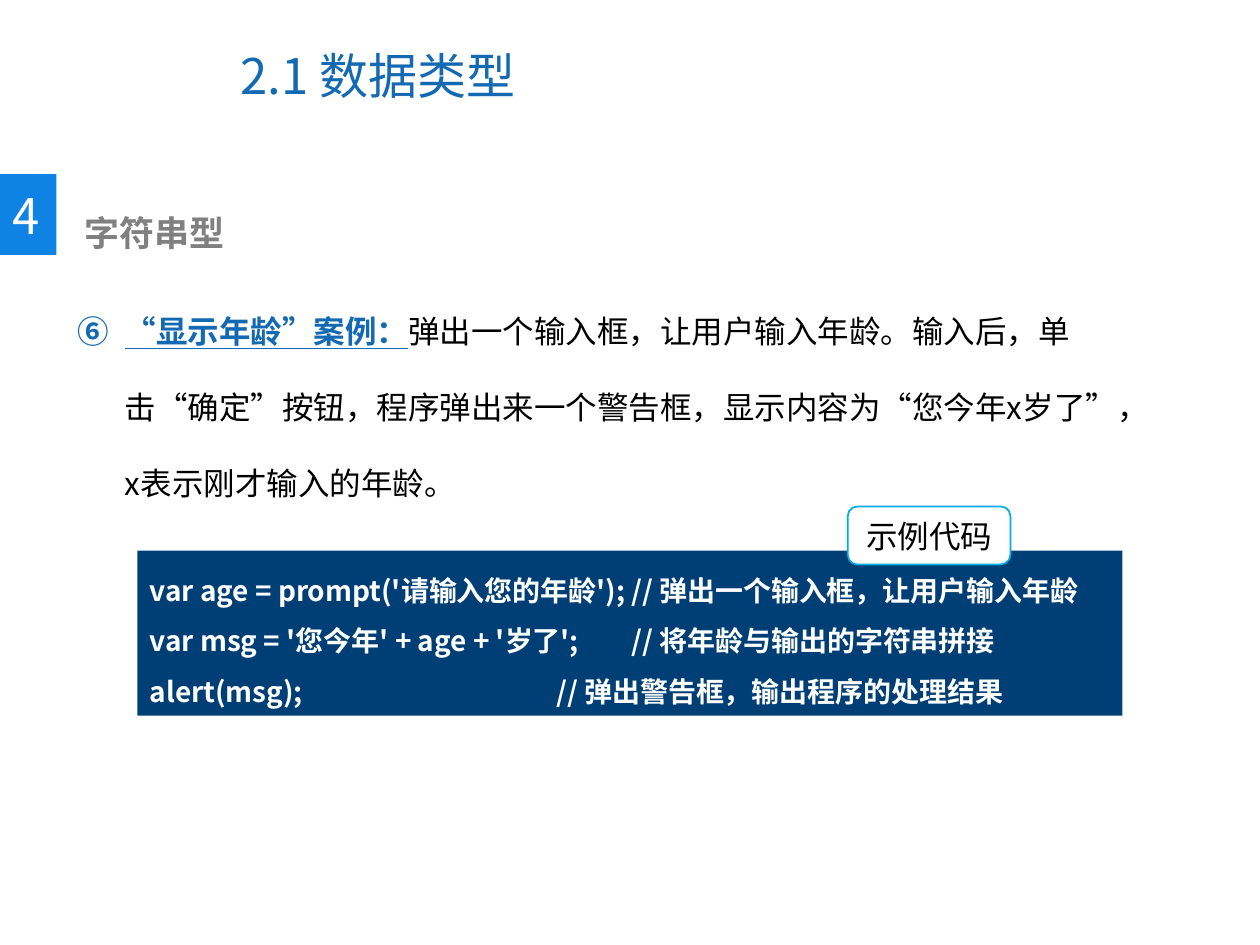
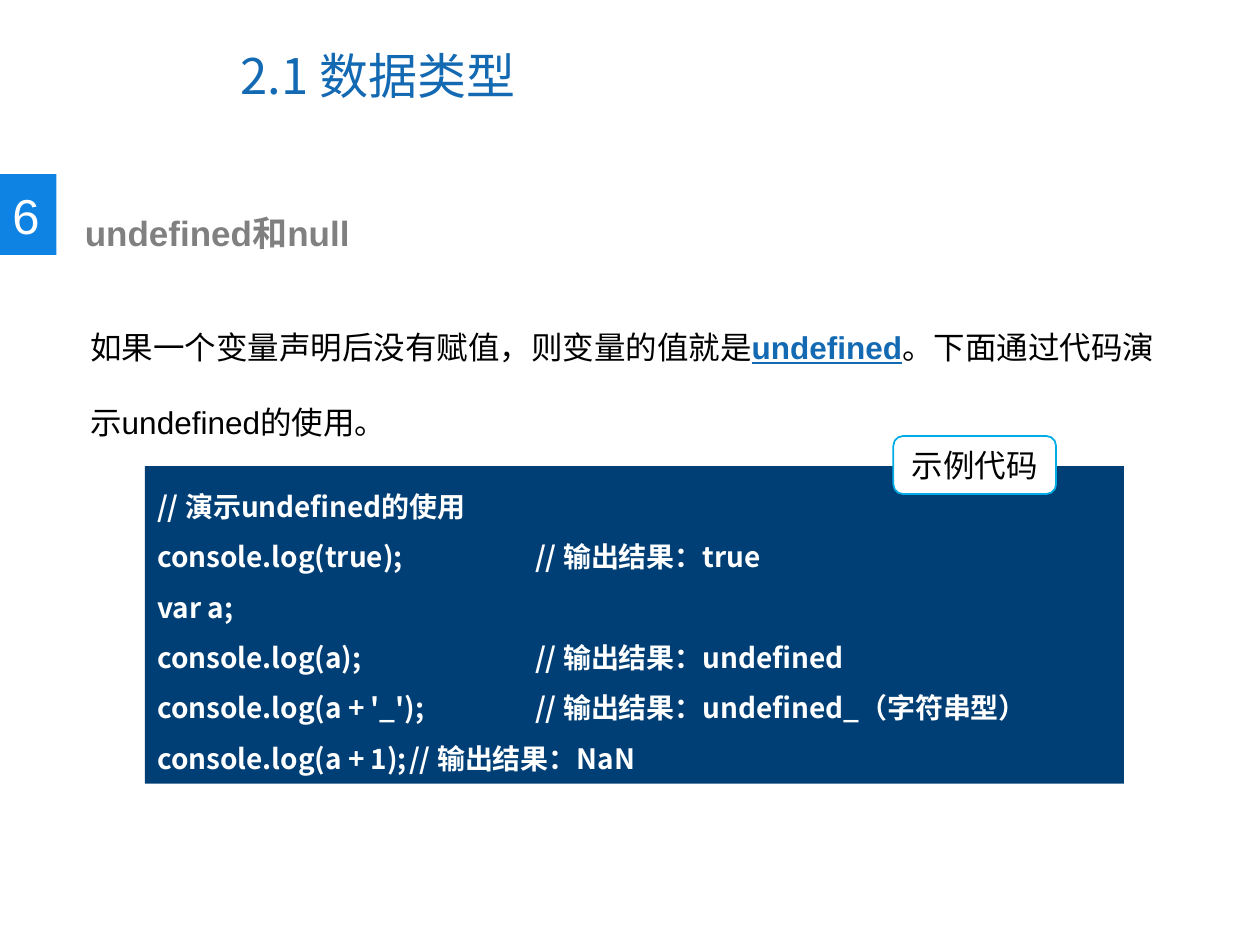
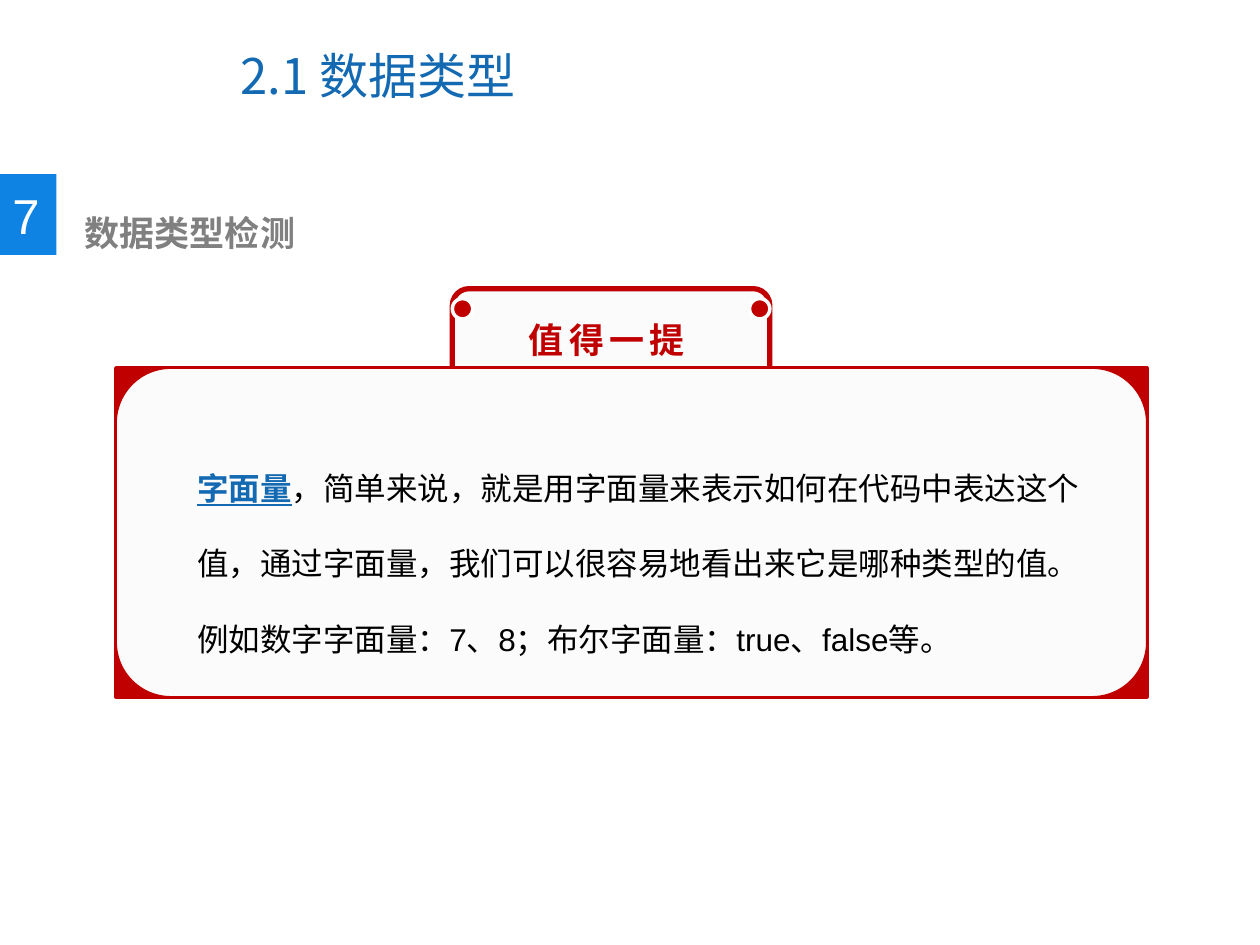
"""Build three lesson slides on data types."""
from lxml.etree import SubElement
from pptx import Presentation
from pptx.dml.color import RGBColor
from pptx.enum.shapes import MSO_SHAPE as Preset
from pptx.enum.text import MSO_ANCHOR as Anchor, PP_ALIGN as Align
from pptx.oxml.ns import qn
from pptx.util import Cm, Pt

NOTO, ARIAL = "Noto Sans CJK SC", "Arial"
BLUE, BADGE, NAVY, CYAN = "1369B2", "0F83E3", "003F75", "00ACE6"
RED, GREY, PAPER, BLACK, WHITE = "C00000", "808080", "FBFBFB", "000000", "FFFFFF"

TITLE = ("2.1 ", "数据类型")
CODE_LABEL = "示例代码"
NOTE_LABEL = "值得一提"
BODY_PITCH, CODE_PITCH = 43.2, 28.8

LESSONS = [
    {
        "number": "4", "heading": "字符串型", "face": NOTO, "start": 6,
        "body_at": (1.32, 5.41, 21.97, 4.88),
        "body": [
            ("“显示年龄”案例：", True),
            ("弹出一个输入框，让用户输入年龄。输入后，单击“确定”按钮，程序弹出来一个警告框，"
             "显示内容为“您今年x岁了”，x表示刚才输入的年龄。", False),
        ],
        "code_at": (2.77, 11.1, 19.86, 3.33), "label_at": (17.09, 10.21),
        "code": [
            ("var age = prompt('请输入您的年龄'); // 弹出一个输入框，让用户输入年龄", "", 0),
            ("var msg = '您今年' + age + '岁了';", "// 将年龄与输出的字符串拼接", 9.72),
            ("alert(msg);", "// 弹出警告框，输出程序的处理结果", 8.2),
        ],
    },
    {
        "number": "6", "heading": "undefined和null", "face": ARIAL,
        "body_at": (1.57, 5.72, 21.97, 3.33),
        "body": [
            ("如果一个变量声明后没有赋值，则变量的值就是", False),
            ("undefined", True),
            ("。下面通过代码演示undefined的使用。", False),
        ],
        "code_at": (2.92, 9.4, 19.74, 6.4), "label_at": (18.01, 8.79),
        "code": [
            ("// 演示undefined的使用", "", 0),
            ("console.log(true);", "// 输出结果：true", 7.62),
            ("var a;", "", 0),
            ("console.log(a);", "// 输出结果：undefined", 7.62),
            ("console.log(a + '_');", "// 输出结果：undefined_（字符串型）", 7.62),
            ("console.log(a + 1);", "// 输出结果：NaN", 5.08),
        ],
    },
    {
        "number": "7", "heading": "数据类型检测", "face": ARIAL,
        "body_at": (3.73, 8.56, 18.72, 4.88),
        "body": [
            ("字面量", True),
            ("，简单来说，就是用字面量来表示如何在代码中表达这个值，通过字面量，"
             "我们可以很容易地看出来它是哪种类型的值。例如数字字面量：7、8；"
             "布尔字面量：true、false等。", False),
        ],
        "note_at": (2.34, 7.42, 20.78, 6.63),
    },
]


def rgb(color):
    return RGBColor.from_string(color)


def add_box(slide, at, wrap=True, anchor=Anchor.TOP):
    box = slide.shapes.add_textbox(*map(Cm, at))
    box.text_frame.word_wrap = wrap
    box.text_frame.vertical_anchor = anchor
    return box.text_frame


def add_panel(slide, preset, at, fill, line=None, width=1):
    panel = slide.shapes.add_shape(preset, *map(Cm, at))
    panel.shadow.inherit = False
    panel.fill.solid()
    panel.fill.fore_color.rgb = rgb(fill)
    if line:
        panel.line.color.rgb = rgb(line)
        panel.line.width = Pt(width)
    else:
        panel.line.fill.background()
    panel.text_frame.paragraphs[0].alignment = Align.LEFT
    return panel.text_frame


def add_run(paragraph, text, size, color, face=ARIAL, bold=False, underline=False):
    run = paragraph.add_run()
    run.text = text
    font = run.font
    font.size, font.bold, font.underline = Pt(size), bold, underline
    font.color.rgb = rgb(color)
    font.name = face
    SubElement(run._r.rPr, qn("a:ea"), typeface=NOTO)
    return run


def add_header(slide, lesson):
    title = add_box(slide, (4.6, 0.43, 13.11, 2.16), anchor=Anchor.MIDDLE).paragraphs[0]
    for part, face in zip(TITLE, (NOTO, ARIAL)):
        add_run(title, part, 28, BLUE, face)
    badge = add_panel(slide, Preset.RECTANGLE, (0, 3.51, 1.14, 1.63), BADGE)
    badge.word_wrap = False
    add_run(badge.paragraphs[0], lesson["number"], 28, WHITE, lesson["face"])
    heading = add_box(slide, (1.46, 4.14, 12.8, 1.12)).paragraphs[0]
    add_run(heading, lesson["heading"], 20, GREY, lesson["face"], bold=True)


def add_body(slide, lesson):
    body = add_box(slide, lesson["body_at"]).paragraphs[0]
    body.line_spacing = Pt(BODY_PITCH)
    if "start" in lesson:
        props = body._p.get_or_add_pPr()
        hang = Cm(0.95)
        props.set("marL", str(hang))
        props.set("indent", str(-hang))
        SubElement(props, qn("a:buFont"), typeface=NOTO)
        SubElement(props, qn("a:buAutoNum"), type="circleNumDbPlain", startAt=str(lesson["start"]))
    for text, key in lesson["body"]:
        add_run(body, text, 18, BLUE if key else BLACK, lesson["face"], key, key)


def add_code(slide, lesson):
    listing = add_panel(slide, Preset.RECTANGLE, lesson["code_at"], NAVY)
    listing.word_wrap = True
    listing.vertical_anchor = Anchor.TOP
    for index, (code, comment, stop) in enumerate(lesson["code"]):
        row = listing.add_paragraph() if index else listing.paragraphs[0]
        row.alignment = Align.LEFT
        row.line_spacing = Pt(CODE_PITCH)
        if comment:
            tabs = SubElement(row._p.get_or_add_pPr(), qn("a:tabLst"))
            SubElement(tabs, qn("a:tab"), pos=str(Cm(stop)), algn="l")
            code = f"{code}\t{comment}"
        add_run(row, code, 16, WHITE, NOTO, bold=True)
    label = add_panel(slide, Preset.ROUNDED_RECTANGLE, (*lesson["label_at"], 3.28, 1.17), WHITE, CYAN)
    label.vertical_anchor = Anchor.MIDDLE
    label.paragraphs[0].alignment = Align.CENTER
    add_run(label.paragraphs[0], CODE_LABEL, 18, BLACK)


def add_note(slide, card):
    tab_left, tab_width, pin = 9.12, 6.4, 0.41
    add_panel(slide, Preset.ROUNDED_RECTANGLE, (tab_left, 5.82, tab_width, 2.01), PAPER, RED, 3)
    add_panel(slide, Preset.FLOWCHART_PROCESS, card, RED, RED, 2)
    add_panel(slide, Preset.FLOWCHART_ALTERNATE_PROCESS, card, PAPER, RED, 1)
    for pin_left in (tab_left, tab_left + tab_width - pin):
        add_panel(slide, Preset.OVAL, (pin_left, 6.02, pin, pin), RED, WHITE, 2)
    label = add_box(slide, (10.41, 6.3, 3.81, 1.12), wrap=False).paragraphs[0]
    run = add_run(label, NOTE_LABEL, 20, RED, NOTO, bold=True)
    run._r.rPr.set("spc", "300")


def main():
    deck = Presentation()
    deck.slide_width, deck.slide_height = Cm(25.4), Cm(19.05)
    for lesson in LESSONS:
        slide = deck.slides.add_slide(deck.slide_layouts[6])
        add_header(slide, lesson)
        if "note_at" in lesson:
            add_note(slide, lesson["note_at"])
        add_body(slide, lesson)
        if "code" in lesson:
            add_code(slide, lesson)
    deck.save("out.pptx")


if __name__ == "__main__":
    main()
